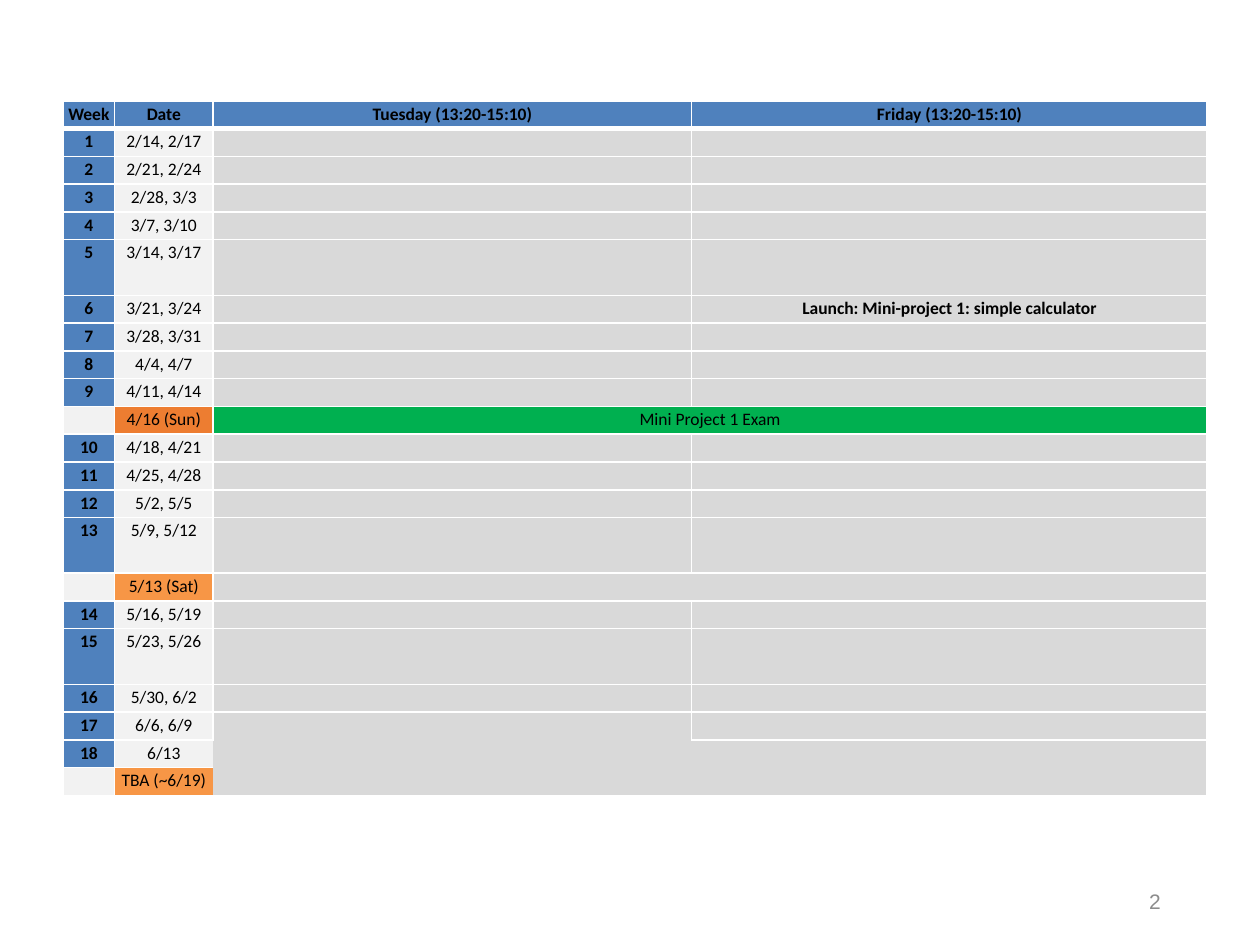
import pptx
import pptx.dml.color
import pptx.enum.text
import pptx.oxml.ns
import pptx.util
from lxml import etree

Inches, Pt = pptx.util.Inches, pptx.util.Pt
ALIGN = pptx.enum.text.PP_ALIGN

COLORS = {
    "blue": "4F81BD", "pale": "F2F2F2", "gray": "D9D9D9", "green": "00B050",
    "orange": "F79646", "deep orange": "ED7D31",
    "line": "FFFFFF", "text": "000000", "number": "8C8C8C",
}
HEADINGS = ("Week", "Date", "Tuesday (13:20-15:10)", "Friday (13:20-15:10)")
# Week, dates, Tuesday, Friday; special days have no week number
SCHEDULE = [
    ("1", "2/14, 2/17", "", ""),
    ("2", "2/21, 2/24", "", ""),
    ("3", "2/28, 3/3", "", ""),
    ("4", "3/7, 3/10", "", ""),
    ("5", "3/14, 3/17", "", ""),
    ("6", "3/21, 3/24", "", "Launch: Mini-project 1: simple calculator"),
    ("7", "3/28, 3/31", "", ""),
    ("8", "4/4, 4/7", "", ""),
    ("9", "4/11, 4/14", "", ""),
    ("", "4/16 (Sun)", "Mini Project 1 Exam", ""),
    ("10", "4/18, 4/21", "", ""),
    ("11", "4/25, 4/28", "", ""),
    ("12", "5/2, 5/5", "", ""),
    ("13", "5/9, 5/12", "", ""),
    ("", "5/13 (Sat)", "", ""),
    ("14", "5/16, 5/19", "", ""),
    ("15", "5/23, 5/26", "", ""),
    ("16", "5/30, 6/2", "", ""),
    ("17", "6/6, 6/9", "", ""),
    ("18", "6/13", "", ""),
    ("", "TBA (~6/19)", "", ""),
]
ROWS = [HEADINGS] + SCHEDULE
DOUBLE_WEEKS = {"5", "13", "15"}
SPECIAL_FILLS = {"4/16 (Sun)": "deep orange", "Mini Project 1 Exam": "green",
                 "5/13 (Sat)": "orange", "TBA (~6/19)": "orange"}
# (row label, column): sides without a line, where the last weeks flow together
OPEN_SIDES = {("17", 2): "B", ("18", 1): "R", ("18", 2): "LRTB", ("18", 3): "LB",
              ("TBA (~6/19)", 1): "R", ("TBA (~6/19)", 2): "LTB",
              ("TBA (~6/19)", 3): "LTB"}
COLUMN_WIDTHS = (0.41, 0.78, 3.8, 4.09)
TABLE_LEFT, TABLE_TOP, TABLE_HEIGHT = 0.5, 0.8, 5.52
FONT_SIZE = 10


def rgb(name):
    return pptx.dml.color.RGBColor.from_string(COLORS[name])


def fill_color(text, column, is_heading):
    if is_heading or (column == 0 and text):
        return "blue"
    return SPECIAL_FILLS.get(text, "pale" if column < 2 else "gray")


def draw_borders(cell, open_sides, widths):
    """Put the four side lines ahead of the fill, as the schema asks."""
    properties = cell._tc.get_or_add_tcPr()
    for place, side in enumerate("LRTB"):
        line = etree.Element(pptx.oxml.ns.qn(f"a:ln{side}"),
                             w=str(Pt(widths.get(side, 1))))
        if side in open_sides:
            etree.SubElement(line, pptx.oxml.ns.qn("a:noFill"))
        else:
            solid = etree.SubElement(line, pptx.oxml.ns.qn("a:solidFill"))
            etree.SubElement(solid, pptx.oxml.ns.qn("a:srgbClr"), val=COLORS["line"])
        properties.insert(place, line)


def write_cell(cell, text, bold):
    cell.margin_left = cell.margin_right = Inches(0.04)
    cell.margin_top, cell.margin_bottom = Inches(0.01), 0
    paragraph = cell.text_frame.paragraphs[0]
    paragraph.alignment = ALIGN.CENTER
    paragraph.line_spacing = 1.07
    paragraph.space_after = Pt(8)
    font = paragraph.font
    font.name, font.size, font.bold = "Calibri", Pt(FONT_SIZE), bold
    font.color.rgb = rgb("text")
    if text:
        paragraph.add_run().text = text
    else:  # keeps an empty row as low as a filled one
        etree.SubElement(paragraph._p, pptx.oxml.ns.qn("a:endParaRPr"),
                         sz=str(FONT_SIZE * 100))


def add_schedule(slide):
    units = [2 if row[0] in DOUBLE_WEEKS else 1 for row in ROWS]
    table = slide.shapes.add_table(
        len(ROWS), len(HEADINGS), Inches(TABLE_LEFT), Inches(TABLE_TOP),
        Inches(sum(COLUMN_WIDTHS)), Inches(TABLE_HEIGHT)).table
    for column, width in zip(table.columns, COLUMN_WIDTHS):
        column.width = Inches(width)
    for row_index, texts in enumerate(ROWS):
        table.rows[row_index].height = Inches(TABLE_HEIGHT * units[row_index] / sum(units))
        label = texts[0] or texts[1]
        is_heading = row_index == 0
        widths = {0: {"B": 3}, 1: {"T": 3}}.get(row_index, {})
        for column, text in enumerate(texts):
            cell = table.cell(row_index, column)
            bold = is_heading or column in (0, 3)
            write_cell(cell, text, bold)
            cell.fill.solid()
            cell.fill.fore_color.rgb = rgb(fill_color(text, column, is_heading))
            draw_borders(cell, OPEN_SIDES.get((label, column), ""), widths)
        if not texts[0]:
            table.cell(row_index, 2).merge(table.cell(row_index, 3))


def add_page_number(slide, number):
    frame = slide.shapes.add_textbox(
        Inches(7.06), Inches(6.95), Inches(2.25), Inches(0.4)).text_frame
    frame.word_wrap = True
    frame.vertical_anchor = pptx.enum.text.MSO_ANCHOR.MIDDLE
    paragraph = frame.paragraphs[0]
    paragraph.text = number
    paragraph.alignment = ALIGN.RIGHT
    paragraph.font.name, paragraph.font.size = "Arial", Pt(12)
    paragraph.font.color.rgb = rgb("number")


def main():
    deck = pptx.Presentation()
    deck.slide_width, deck.slide_height = Inches(10), Inches(7.5)
    slide = deck.slides.add_slide(deck.slide_layouts[6])
    add_page_number(slide, "2")
    add_schedule(slide)
    deck.save("out.pptx")


if __name__ == "__main__":
    main()
